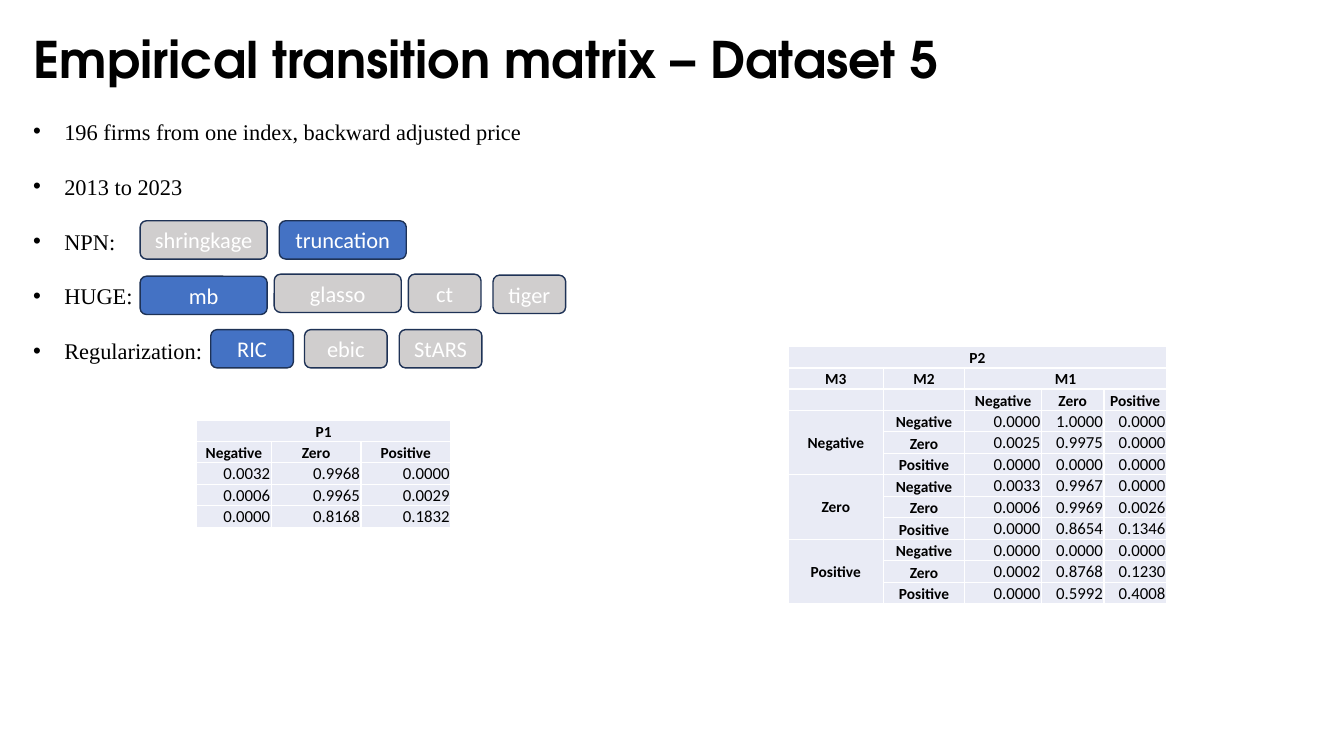
"""Build the slide on the empirical transition matrix of dataset 5."""
from lxml import etree
from pptx import Presentation
from pptx import util as u
from pptx.dml.color import RGBColor
from pptx.enum import shapes, text
from pptx.oxml.ns import qn

TITLE = "Empirical transition matrix – Dataset 5"
BULLETS = ["196 firms from one index, backward adjusted price", "2013 to 2023",
           "NPN:", "HUGE:", "Regularization:"]
COLORS = {"black": "000000", "white": "FFFFFF", "cell": "E9EBF5",
          "chosen": "4472C4", "other": "D0CECE", "outline": "1E3256"}
CHOSEN = {"truncation", "mb", "RIC"}
CHIPS = [
    ("shringkage", 1.39, 2.19, 1.26), ("truncation", 2.77, 2.19, 1.26),
    ("mb", 1.39, 2.74, 1.26), ("glasso", 2.72, 2.72, 1.26),
    ("ct", 4.05, 2.72, 0.72), ("tiger", 4.89, 2.73, 0.72),
    ("RIC", 2.09, 3.27, 0.82), ("ebic", 3.02, 3.27, 0.82), ("StARS", 3.96, 3.27, 0.82),
]
CHIP_H, ROW_H = 0.38, 0.21
STATES = ["Negative", "Zero", "Positive"]
P1 = [["0.0032", "0.9968", "0.0000"],
      ["0.0006", "0.9965", "0.0029"],
      ["0.0000", "0.8168", "0.1832"]]
P2 = [["0.0000", "1.0000", "0.0000"],
      ["0.0025", "0.9975", "0.0000"],
      ["0.0000", "0.0000", "0.0000"],
      ["0.0033", "0.9967", "0.0000"],
      ["0.0006", "0.9969", "0.0026"],
      ["0.0000", "0.8654", "0.1346"],
      ["0.0000", "0.0000", "0.0000"],
      ["0.0002", "0.8768", "0.1230"],
      ["0.0000", "0.5992", "0.4008"]]


def rgb(name):
    return RGBColor.from_string(COLORS[name])


def write(p, words, size=16, font="Calibri", color="black", bold=False, align="LEFT"):
    p.alignment = getattr(text.PP_ALIGN, align)
    r = p.add_run()
    r.text = words
    r.font.size, r.font.name, r.font.bold = u.Pt(size), font, bold
    r.font.color.rgb = rgb(color)


def add_bullet(p):
    pPr = p._p.get_or_add_pPr()
    indent = u.Inches(0.31)
    pPr.set("marL", str(indent))
    pPr.set("indent", str(-indent))
    etree.SubElement(pPr, qn("a:buFont")).set("typeface", "Arial")
    etree.SubElement(pPr, qn("a:buChar")).set("char", "•")


def style_cell(cell, words, anchor):
    tcPr = cell._tc.get_or_add_tcPr()
    for side in ("lnL", "lnR", "lnT", "lnB"):
        ln = etree.SubElement(tcPr, qn("a:" + side), w=str(u.Pt(1)))
        fill = etree.SubElement(ln, qn("a:solidFill"))
        etree.SubElement(fill, qn("a:srgbClr")).set("val", COLORS["white"])
    cell.fill.solid()
    cell.fill.fore_color.rgb = rgb("cell")
    cell.margin_left = cell.margin_right = cell.margin_top = u.Inches(0.01)
    cell.margin_bottom = 0
    cell.vertical_anchor = anchor
    p = cell.text_frame.paragraphs[0]
    if not words:
        p._p.get_or_add_endParaRPr().set("sz", "1100")
    elif words[0].isdigit():
        write(p, words, size=12, align="RIGHT")
    else:
        write(p, words, size=11, bold=True, align="CENTER")


def add_matrix(s, x, y, widths, rows, merges, middle):
    frame = s.shapes.add_table(len(rows), len(widths), u.Inches(x), u.Inches(y),
                               u.Inches(sum(widths)), u.Inches(ROW_H * len(rows)))
    table = frame.table
    table.first_row = table.horz_banding = False
    for col, width in zip(table.columns, widths):
        col.width = u.Inches(width)
    for i, row in enumerate(rows):
        table.rows[i].height = u.Inches(ROW_H)
        for j, words in enumerate(row):
            anchor = text.MSO_ANCHOR.MIDDLE if (i, j) in middle else text.MSO_ANCHOR.BOTTOM
            style_cell(table.cell(i, j), words, anchor)
    for first, last in merges:
        table.cell(*first).merge(table.cell(*last))


def add_chip(s, words, x, y, width):
    sp = s.shapes.add_shape(shapes.MSO_SHAPE.ROUNDED_RECTANGLE, u.Inches(x), u.Inches(y),
                            u.Inches(width), u.Inches(CHIP_H))
    sp.shadow.inherit = False
    sp.fill.solid()
    sp.fill.fore_color.rgb = rgb("chosen" if words in CHOSEN else "other")
    sp.line.color.rgb = rgb("outline")
    sp.line.width = u.Pt(1)
    tf = sp.text_frame
    tf.vertical_anchor = text.MSO_ANCHOR.MIDDLE
    write(tf.paragraphs[0], words, color="white", align="CENTER")


def main():
    prs = Presentation()
    prs.slide_width, prs.slide_height = u.Inches(13.33), u.Inches(7.5)
    s = prs.slides.add_slide(prs.slide_layouts[5])

    title = s.shapes.title
    title.left, title.top = u.Inches(0.23), u.Inches(0.22)
    title.width, title.height = u.Inches(12.88), u.Inches(0.71)
    title.text_frame.auto_size = text.MSO_AUTO_SIZE.NONE
    title.text_frame.vertical_anchor = text.MSO_ANCHOR.MIDDLE
    write(title.text_frame.paragraphs[0], TITLE, size=36, font="TeX Gyre Adventor", bold=True)

    rows = [["P1", "", ""], STATES] + P1
    add_matrix(s, 1.95, 4.17, [0.74, 0.89, 0.89], rows, [((0, 0), (0, 2))], set())

    rows = [["P2", "", "", "", ""], ["M3", "M2", "M1", "", ""], ["", ""] + STATES]
    for i, values in enumerate(P2):
        group, state = divmod(i, 3)
        rows.append([STATES[group] if state == 0 else "", STATES[state]] + values)
    groups = [(3, 0), (6, 0), (9, 0)]
    merges = [((0, 0), (0, 4)), ((1, 2), (1, 4))] + [((i, j), (i + 2, j)) for i, j in groups]
    add_matrix(s, 7.82, 3.44, [0.94, 0.81, 0.76, 0.62, 0.62], rows, merges,
               {(1, 0), (1, 1), (1, 2), *groups})

    tf = s.shapes.add_textbox(u.Inches(0.23), u.Inches(1.12),
                              u.Inches(12.88), u.Inches(2.52)).text_frame
    tf.word_wrap = True
    for i, words in enumerate(BULLETS):
        p = tf.add_paragraph() if i else tf.paragraphs[0]
        add_bullet(p)
        if i:
            p.space_before = u.Pt(20)
        write(p, words, font="Times New Roman")

    for chip in CHIPS:
        add_chip(s, *chip)
    prs.save("out.pptx")


if __name__ == "__main__":
    main()
